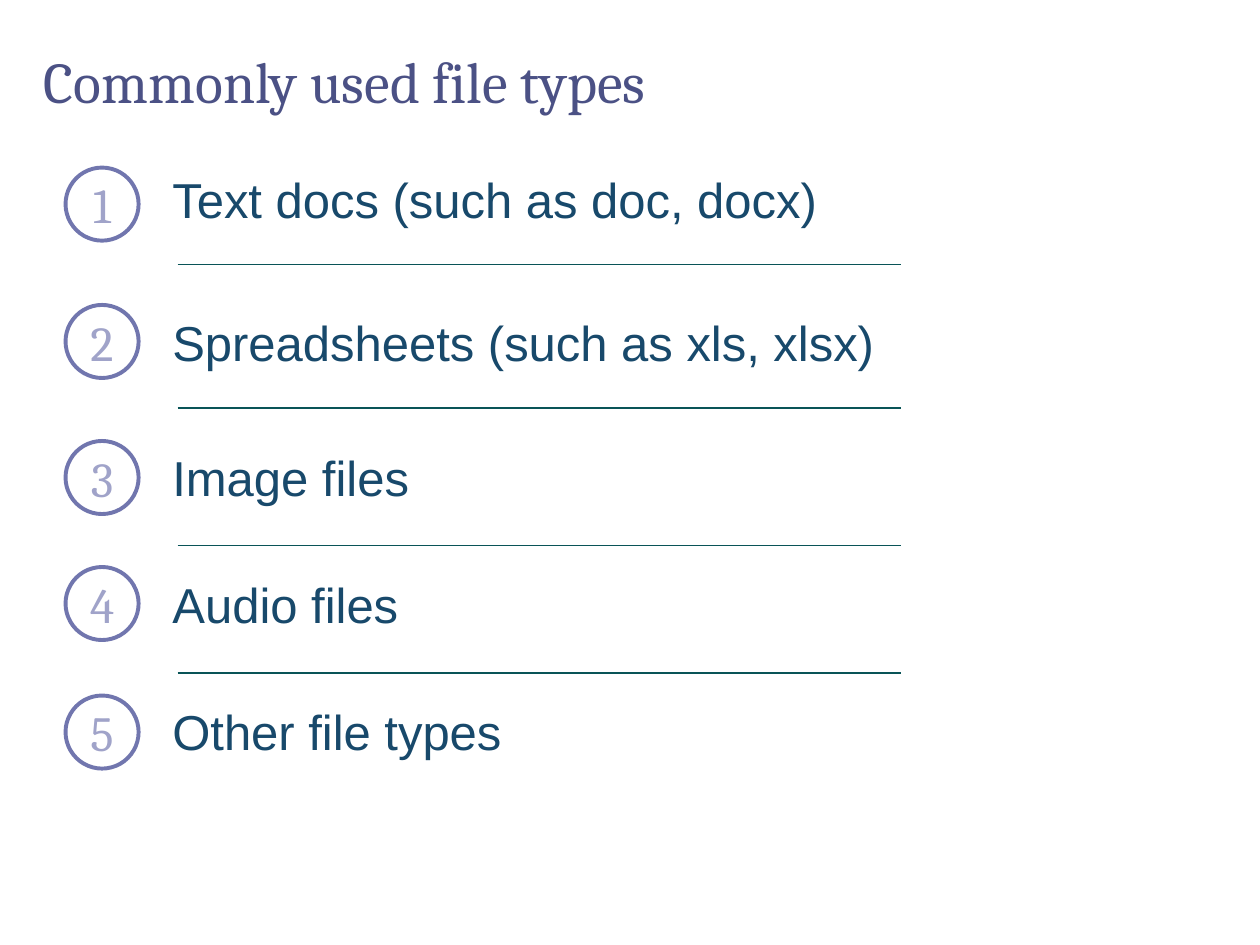
from dataclasses import dataclass

from lxml import etree
from pptx import Presentation
from pptx.dml.color import RGBColor
from pptx.enum.shapes import MSO_CONNECTOR, MSO_SHAPE
from pptx.enum.text import MSO_ANCHOR, MSO_AUTO_SIZE, PP_ALIGN
from pptx.oxml.ns import qn
from pptx.util import Inches, Pt

OVAL = MSO_SHAPE.OVAL
STRAIGHT = MSO_CONNECTOR.STRAIGHT
MIDDLE = MSO_ANCHOR.MIDDLE
GROW = MSO_AUTO_SIZE.SHAPE_TO_FIT_TEXT
CENTER = PP_ALIGN.CENTER


@dataclass(frozen=True)
class Theme:
    """Colours, fonts and sizes of the slide."""
    title: str = "4B5185"
    number: str = "A0A3C9"
    ring: str = "7176AE"
    label: str = "18496B"
    rule: str = "095457"
    serif: str = "Cambria"
    sans: str = "Arial"
    title_size: int = 33
    body_size: int = 28
    ring_width: float = 2.25
    rule_width: float = 1


THEME = Theme()
TITLE_STYLE = {"name": THEME.serif, "size": Pt(THEME.title_size), "color": THEME.title}
NUMBER_STYLE = {"name": THEME.serif, "size": Pt(THEME.body_size), "color": THEME.number}
LABEL_STYLE = {"name": THEME.sans, "size": Pt(THEME.body_size), "color": THEME.label}

# label, ring top, label top, label width, wraps
FILE_TYPES = [
    ("Text docs (such as doc, docx)", 1.33, 1.3, 5.37, False),
    ("Spreadsheets (such as xls, xlsx)", 2.42, 2.43, 5.83, False),
    ("Image files", 3.5, 3.5, 2.1, False),
    ("Audio files", 4.5, 4.51, 2.01, False),
    ("Other file types", 5.52, 5.52, 7.68, True),
]
RULE_TOPS = [2.1, 3.24, 4.33, 5.34]


def write_text(frame, text, style):
    """Write one styled paragraph and return it."""
    para = frame.paragraphs[0]
    span = para.add_run()
    span.text = text
    for key, value in style.items():
        if key == "color":
            span.font.color.rgb = RGBColor.from_string(value)
        else:
            setattr(span.font, key, value)
    return para


def add_text(page, text, area, style, **frame_format):
    """Add a text box and return its paragraph."""
    box = page.shapes.add_textbox(*map(Inches, area))
    for key, value in frame_format.items():
        setattr(box.text_frame, key, value)
    return write_text(box.text_frame, text, style)


def add_number(page, number, top):
    """Add a ringed number."""
    ring = page.shapes.add_shape(OVAL, *map(Inches, (0.52, top, 0.58, 0.58)))
    ring.shadow.inherit = False
    ring.fill.background()
    ring.line.color.rgb = RGBColor.from_string(THEME.ring)
    ring.line.width = Pt(THEME.ring_width)
    frame_format = {"vertical_anchor": MIDDLE, "word_wrap": False}
    frame_format.update({f"margin_{side}": 0 for side in ("left", "right", "top", "bottom")})
    for key, value in frame_format.items():
        setattr(ring.text_frame, key, value)
    write_text(ring.text_frame, str(number), NUMBER_STYLE).alignment = CENTER


def add_rule(page, top):
    """Add a horizontal rule between two rows."""
    rule = page.shapes.add_connector(STRAIGHT, *map(Inches, (1.41, top, 7.15, top)))
    rule.line.color.rgb = RGBColor.from_string(THEME.rule)
    rule.line.width = Pt(THEME.rule_width)
    etree.SubElement(rule.element.spPr, qn("a:effectLst"))


def main():
    """Build and save the slide."""
    deck = Presentation()
    deck.slide_width, deck.slide_height = Inches(10), Inches(7.5)
    page = deck.slides.add_slide(deck.slide_layouts[6])
    title = add_text(page, "Commonly used file types", (0.25, 0.17, 9.51, 1),
                     TITLE_STYLE, vertical_anchor=MIDDLE, word_wrap=True)
    title.line_spacing = 0.9
    for number, (label, ring_top, top, width, wraps) in enumerate(FILE_TYPES, 1):
        add_number(page, number, ring_top)
        add_text(page, label, (1.27, top, width, 0.57), LABEL_STYLE,
                 auto_size=GROW, word_wrap=wraps)
    for top in RULE_TOPS:
        add_rule(page, top)
    deck.save("out.pptx")


if __name__ == "__main__":
    main()
